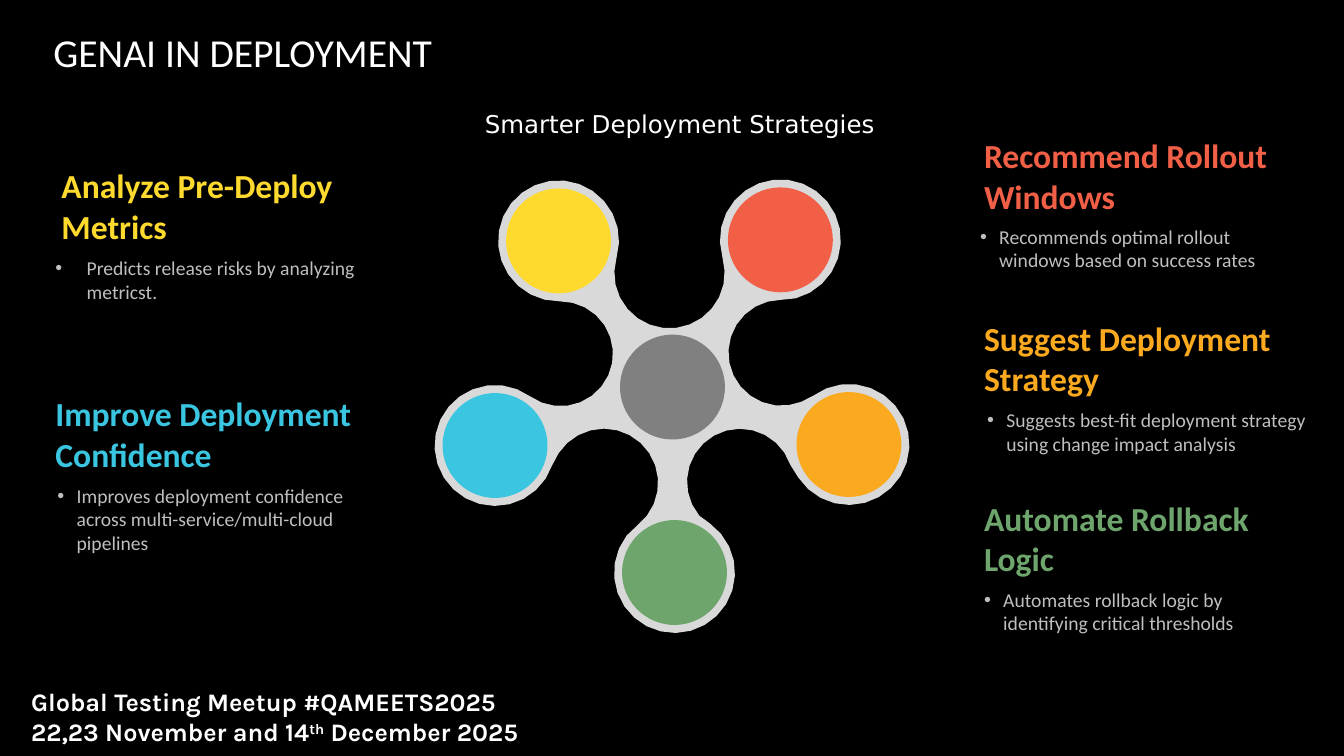
import math
from dataclasses import dataclass

from lxml import etree
from pptx import Presentation
from pptx import util as u
from pptx.dml.color import RGBColor
from pptx.enum import shapes, text
from pptx.oxml import ns


@dataclass(frozen=True)
class Theme:
    back: str = "000000"
    white: str = "FFFFFF"
    muted: str = "BFBFBF"
    web: str = "D9D9D9"
    hub: str = "808080"
    yellow: str = "FEDA2F"
    red: str = "F15F47"
    orange: str = "FBA91E"
    green: str = "6EA56C"
    blue: str = "3AC6E1"
    font: str = "Calibri"
    subtitle_font: str = "DejaVu Sans"
    footer_font: str = "Karla"
    title_size: float = 28.3
    heading_size: float = 24
    footer_size: float = 18
    subtitle_size: float = 17.5
    list_size: float = 14


@dataclass(frozen=True)
class Topic:
    heading: str
    detail: str
    color: str
    heading_at: tuple[float, float]
    detail_at: tuple[float, float]
    detail_height: float = 0.57
    indent: float = 0.19


@dataclass(frozen=True)
class Node:
    center: tuple[float, float]
    color: str
    next_gap: tuple[float, float]


T = Theme()
DISC_RADIUS = 0.52
NODE_RADIUS = 0.6
ARC_STEP = 15
TEXT_WIDTH = 3.2
HEADING_HEIGHT = 0.91
HUB = (6.67, 3.84)

TOPICS = [
    Topic("Suggest Deployment Strategy",
          "Suggests best-fit deployment strategy using change impact analysis",
          T.orange, (9.76, 3.09), (9.79, 4.0)),
    Topic("Automate Rollback Logic",
          "Automates rollback logic by identifying critical thresholds",
          T.green, (9.76, 4.88), (9.76, 5.78)),
    Topic("Improve Deployment Confidence",
          "Improves deployment confidence across multi-service/multi-cloud pipelines",
          T.blue, (0.55, 3.84), (0.57, 4.75), detail_height=0.81),
    Topic("Recommend Rollout Windows",
          "Recommends optimal rollout windows based on success rates",
          T.red, (9.76, 1.28), (9.72, 2.18)),
    Topic("Analyze Pre-Deploy Metrics",
          "Predicts release risks by analyzing metricst.",
          T.yellow, (0.61, 1.58), (0.55, 2.49), indent=0.31),
]

NODES = [
    Node((5.54, 2.39), T.yellow, (6.64, 2.71)),
    Node((7.74, 2.38), T.red, (7.75, 3.5)),
    Node((8.42, 4.41), T.orange, (7.34, 4.78)),
    Node((6.69, 5.68), T.green, (5.99, 4.79)),
    Node((4.91, 4.42), T.blue, (5.56, 3.51)),
]


def place(sp, left: float, top: float, width: float, height: float) -> None:
    box = {"left": left, "top": top, "width": width, "height": height}
    for name, value in box.items():
        setattr(sp, name, u.Inches(value))


def format_frame(tf, anchor=text.MSO_ANCHOR.TOP, side: float = 0.1,
                 auto_size=text.MSO_AUTO_SIZE.SHAPE_TO_FIT_TEXT) -> None:
    values = {
        "word_wrap": True, "auto_size": auto_size, "vertical_anchor": anchor,
        "margin_left": u.Inches(side), "margin_right": u.Inches(side),
        "margin_top": u.Inches(0.05), "margin_bottom": u.Inches(0.05),
    }
    for name, value in values.items():
        setattr(tf, name, value)


def format_paragraph(p, spacing: float = 1.0) -> None:
    values = {"alignment": text.PP_ALIGN.LEFT, "line_spacing": spacing,
              "space_before": u.Pt(0), "space_after": u.Pt(0)}
    for name, value in values.items():
        setattr(p, name, value)


def add_run(p, words: str, size: float, color: str, font: str = T.font, bold: bool = False):
    r = p.add_run()
    r.text = words
    for name, value in {"size": u.Pt(size), "name": font, "bold": bold}.items():
        setattr(r.font, name, value)
    r.font.color.rgb = RGBColor.from_string(color)
    return r


def add_bullet(p, indent: float) -> None:
    pPr = p._p.get_or_add_pPr()
    pPr.set("marL", str(u.Inches(indent)))
    pPr.set("indent", str(-u.Inches(indent)))
    etree.SubElement(pPr, ns.qn("a:buFont"), typeface="Arial")
    etree.SubElement(pPr, ns.qn("a:buChar"), char="•")


def add_box(s):
    return s.shapes.add_textbox(0, 0, 0, 0)


def write_banner(sp, words: str, box: tuple[float, ...], size: float, font: str) -> None:
    place(sp, *box)
    tf = sp.text_frame
    format_frame(tf, text.MSO_ANCHOR.BOTTOM, auto_size=text.MSO_AUTO_SIZE.NONE)
    p = tf.paragraphs[0]
    format_paragraph(p, 0.9)
    add_run(p, words, size, T.white, font)


def write_topic(s, topic: Topic, detail_sp) -> None:
    sp = add_box(s)
    place(sp, *topic.heading_at, TEXT_WIDTH, HEADING_HEIGHT)
    format_frame(sp.text_frame, text.MSO_ANCHOR.BOTTOM, side=0)
    p = sp.text_frame.paragraphs[0]
    format_paragraph(p)
    add_run(p, topic.heading, T.heading_size, topic.color, bold=True)

    place(detail_sp, *topic.detail_at, TEXT_WIDTH, topic.detail_height)
    format_frame(detail_sp.text_frame, side=0)
    p = detail_sp.text_frame.paragraphs[0]
    format_paragraph(p)
    add_bullet(p, topic.indent)
    add_run(p, topic.detail, T.list_size, T.muted)


def write_footer(s) -> None:
    sp = add_box(s)
    place(sp, 0.21, 6.76, 6.07, 0.71)
    tf = sp.text_frame
    format_frame(tf)
    lines = [["Global Testing Meetup #QAMEETS2025"],
             ["22,23 November and 14", "th", " December 2025"]]
    for i, parts in enumerate(lines):
        p = tf.add_paragraph() if i else tf.paragraphs[0]
        format_paragraph(p)
        for part in parts:
            r = add_run(p, part, T.footer_size, T.white, T.footer_font, True)
            if part == "th":
                r._r.get_or_add_rPr().set("baseline", "30000")


def paint(sp, color: str) -> None:
    sp.shadow.inherit = False
    sp.fill.solid()
    sp.fill.fore_color.rgb = RGBColor.from_string(color)
    sp.line.fill.background()


def arc(center: tuple[float, float], radius: float, start: tuple[float, float],
        end: tuple[float, float], turn: int) -> list[tuple[int, int]]:
    x, y = center
    first, last = (math.degrees(math.atan2(b - y, a - x)) for a, b in (start, end))
    sweep = (last - first) * turn % 360
    count = math.ceil(sweep / ARC_STEP)
    angles = [math.radians(first + turn * sweep * i / count) for i in range(count)]
    return [(u.Inches(x + radius * math.cos(a)), u.Inches(y + radius * math.sin(a)))
            for a in angles]


def draw_web(s) -> None:
    points = []
    for i, node in enumerate(NODES):
        following = NODES[(i + 1) % len(NODES)]
        gap = node.next_gap
        reach = (math.dist(gap, node.center) + math.dist(gap, following.center)) / 2
        points += arc(node.center, NODE_RADIUS, NODES[i - 1].next_gap, gap, 1)
        points += arc(gap, reach - NODE_RADIUS, node.center, following.center, -1)
    builder = s.shapes.build_freeform(*points[0])
    builder.add_line_segments(points[1:], close=True)
    paint(builder.convert_to_shape(), T.web)


def draw_disc(s, center: tuple[float, float], color: str) -> None:
    sp = s.shapes.add_shape(shapes.MSO_SHAPE.OVAL, 0, 0, 0, 0)
    place(sp, *(c - DISC_RADIUS for c in center), 2 * DISC_RADIUS, 2 * DISC_RADIUS)
    paint(sp, color)


def main() -> None:
    prs = Presentation()
    prs.slide_width, prs.slide_height = u.Inches(13.33), u.Inches(7.5)
    s = prs.slides.add_slide(prs.slide_layouts.get_by_name("Comparison"))
    s.background.fill.solid()
    s.background.fill.fore_color.rgb = RGBColor.from_string(T.back)

    title, *bodies = s.placeholders
    bodies.append(add_box(s))
    write_footer(s)
    for topic, body in zip(TOPICS, bodies):
        write_topic(s, topic, body)
    draw_web(s)
    draw_disc(s, HUB, T.hub)
    for node in NODES:
        draw_disc(s, node.center, node.color)
    write_banner(title, "GENAI IN DEPLOYMENT", (0.43, -0.11, 6.64, 0.91), T.title_size, T.font)
    write_banner(add_box(s), "Smarter Deployment Strategies", (4.71, 0.85, 5.67, 0.58),
                 T.subtitle_size, T.subtitle_font)
    prs.save("out.pptx")


if __name__ == "__main__":
    main()
